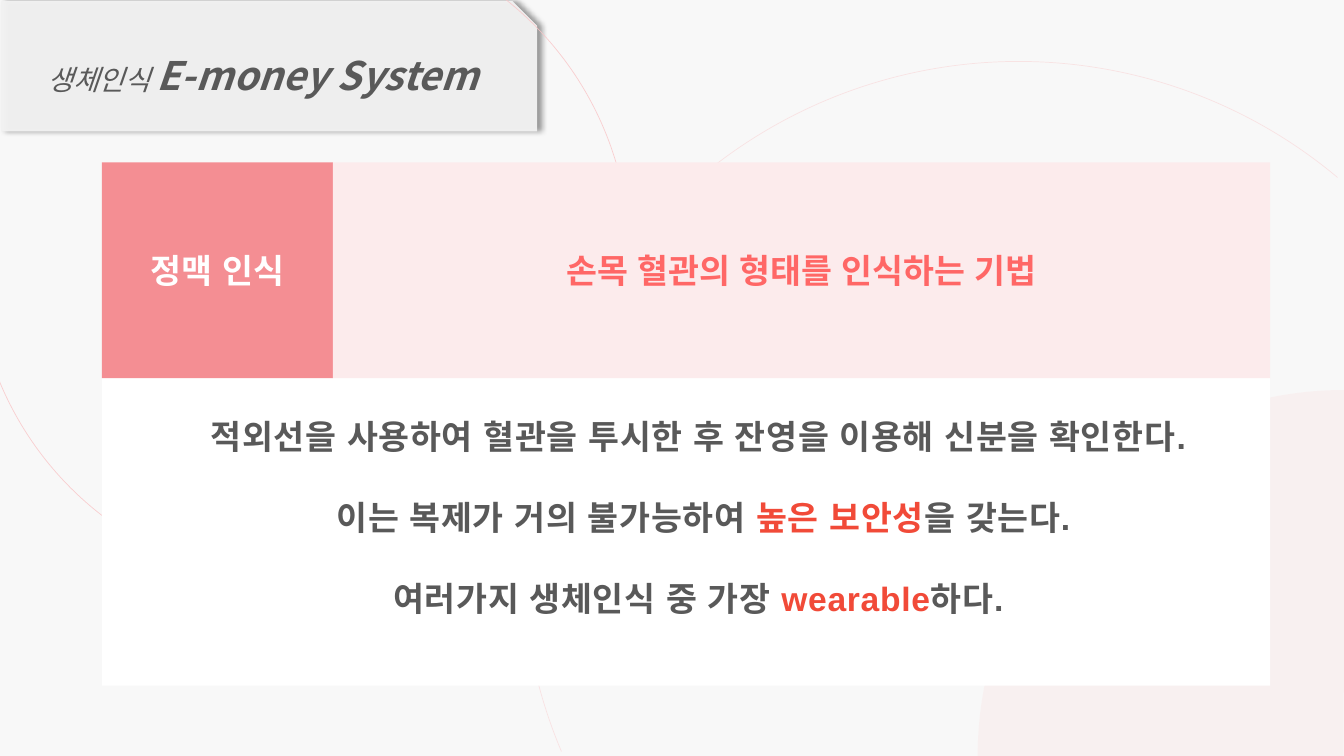
from dataclasses import dataclass

from lxml.etree import SubElement
from pptx import Presentation
from pptx.dml.color import RGBColor
from pptx.enum.shapes import MSO_SHAPE
from pptx.enum.text import MSO_ANCHOR, MSO_AUTO_SIZE, PP_ALIGN
from pptx.oxml.ns import qn
from pptx.util import Cm, Pt


@dataclass(frozen=True)
class Theme:
    """Colours, fonts and type sizes of the slide."""
    page: str = "F8F8F8"
    tab: str = "F2F2F2"
    ink: str = "595959"
    white: str = "FFFFFF"
    coral: str = "FF6766"
    rose: str = "F48E93"
    blush: str = "FCEBEC"
    ring: str = "FAC6C8"
    alert: str = "F14A38"
    shadow: str = "000000"
    title_font: str = "Noto Sans CJK KR"
    body_font: str = "Arial"
    lead_size: int = 20
    title_size: int = 28
    body_size: int = 24


THEME = Theme()
TITLE = [("생체인식 ", THEME.lead_size, False), ("E-money System", THEME.title_size, True)]
TERM = "정맥 인식"
MEANING = "손목 혈관의 형태를 인식하는 기법"
DETAILS = [
    [("적외선을 사용하여 혈관을 투시한 후 잔영을 이용해 신분을 확인한다.", THEME.ink)],
    [(" 이는 복제가 거의 불가능하여 ", THEME.ink), ("높은 보안성", THEME.alert), ("을 갖는다.", THEME.ink)],
    [("여러가지 생체인식 중 가장 ", THEME.ink), ("wearable", THEME.alert), ("하다.", THEME.ink)],
]
DISC = (24.64, 9.83, 18.44, 179.4, 270.17)
RINGS = [((13.16, 1.55, 25.02, 157.05, 309.98), 42), ((-0.64, -1.8, 16.51, 307.99, 157.93), 82)]
LEFT, TOP, WIDTH, TERM_WIDTH = 2.57, 4.09, 29.44, 5.82
HEAD_HEIGHT, DETAIL_HEIGHT = 5.44, 7.75


def set_alpha(color_parent, percent):
    """Make the colour inside an element partly transparent."""
    color = next(color_parent.iter(qn("a:srgbClr")))
    SubElement(color, qn("a:alpha"), val=str(percent * 1000))


def add_shape(page, kind, area, fill=None):
    """Add a borderless preset shape with an optional solid fill."""
    shape = page.shapes.add_shape(kind, *(Cm(length) for length in area))
    shape.shadow.inherit = False
    shape.line.fill.background()
    if fill:
        shape.fill.solid()
        shape.fill.fore_color.rgb = RGBColor.from_string(fill)
    else:
        shape.fill.background()
    return shape


def add_arc(page, circle, fill=None):
    """Add a circular arc between two angles in degrees."""
    left, top, size, *angles = circle
    arc = add_shape(page, MSO_SHAPE.ARC, (left, top, size, size), fill)
    for index, angle in enumerate(angles):
        arc.adjustments[index] = angle * 0.6
    return arc


def add_shadow(shape):
    """Give a shape a soft shadow to its right."""
    effects = shape.element.spPr.find(qn("a:effectLst"))
    outer = SubElement(effects, qn("a:outerShdw"), blurRad=str(Pt(4)), dist=str(Pt(3)),
                       dir="0", algn="l", rotWithShape="0")
    SubElement(outer, qn("a:srgbClr"), val=THEME.shadow)
    set_alpha(outer, 40)


def add_span(para, text, color, name=THEME.body_font, size=THEME.body_size, bold=True, italic=False):
    """Add a formatted run and return it."""
    span = para.add_run()
    span.text = text
    values = {"name": name, "size": Pt(size), "bold": bold, "italic": italic}
    for key, value in values.items():
        setattr(span.font, key, value)
    span.font.color.rgb = RGBColor.from_string(color)
    SubElement(span.font._element, qn("a:ea"), typeface=name)
    return span


def place(page, box, area):
    """Move a placeholder to the front and set its frame."""
    for key, length in zip(("left", "top", "width", "height"), area):
        setattr(box, key, Cm(length))
    values = {"word_wrap": True, "auto_size": MSO_AUTO_SIZE.SHAPE_TO_FIT_TEXT,
              "vertical_anchor": MSO_ANCHOR.TOP}
    for key, value in values.items():
        setattr(box.text_frame, key, value)
    page.shapes._spTree.append(box.element)
    return box.text_frame


def add_title(page):
    """Fill the title placeholder."""
    para = place(page, page.shapes.title, (0.94, 0.58, 11.76, 1.83)).paragraphs[0]
    para.alignment = PP_ALIGN.LEFT
    para.line_spacing = 1.5
    for text, size, bold in TITLE:
        add_span(para, text, THEME.ink, THEME.title_font, size, bold, True)


def add_details(page):
    """Fill the body placeholder with centred lines."""
    frame = place(page, page.placeholders[1], (3.91, 10.36, 27.38, 5.38))
    for index, line in enumerate(DETAILS):
        para = frame.add_paragraph() if index else frame.paragraphs[0]
        properties = para._p.get_or_add_pPr()
        properties.set("marL", "0")
        properties.set("indent", "0")
        SubElement(properties, qn("a:buNone"))
        para.alignment = PP_ALIGN.CENTER
        para.space_before = Pt(29 if index else 0)
        for text, color in line:
            add_span(para, text, color).font._element.set("spc", "50")


def add_panel(page, area, fill, text, color):
    """Add a filled rectangle with a centred label."""
    frame = add_shape(page, MSO_SHAPE.RECTANGLE, area, fill).text_frame
    frame.vertical_anchor = MSO_ANCHOR.MIDDLE
    para = frame.paragraphs[0]
    para.alignment = PP_ALIGN.CENTER
    add_span(para, text, color)


def main():
    """Build the slide and save it."""
    deck = Presentation()
    deck.slide_width, deck.slide_height = Cm(33.87), Cm(19.05)
    page = deck.slides.add_slide(deck.slide_layouts[1])
    page.background.fill.solid()
    page.background.fill.fore_color.rgb = RGBColor.from_string(THEME.page)

    set_alpha(add_arc(page, DISC, THEME.coral).element.spPr, 5)
    tab = add_shape(page, MSO_SHAPE.SNIP_1_RECTANGLE, (0.03, 0.03, 13.51, 3.28), THEME.tab)
    tab.adjustments[0] = 0.19
    set_alpha(tab.element.spPr, 96)
    add_shadow(tab)
    for circle, opacity in RINGS:
        ring = add_arc(page, circle)
        ring.line.width = Pt(0.5)
        ring.line.color.rgb = RGBColor.from_string(THEME.ring)
        set_alpha(ring.element.spPr, opacity)

    add_shape(page, MSO_SHAPE.RECTANGLE, (LEFT, TOP + HEAD_HEIGHT, WIDTH, DETAIL_HEIGHT), THEME.white)
    add_title(page)
    add_details(page)
    add_panel(page, (LEFT, TOP, TERM_WIDTH, HEAD_HEIGHT), THEME.rose, TERM, THEME.white)
    add_panel(page, (LEFT + TERM_WIDTH, TOP, WIDTH - TERM_WIDTH, HEAD_HEIGHT),
              THEME.blush, MEANING, THEME.coral)
    deck.save("out.pptx")


if __name__ == "__main__":
    main()
